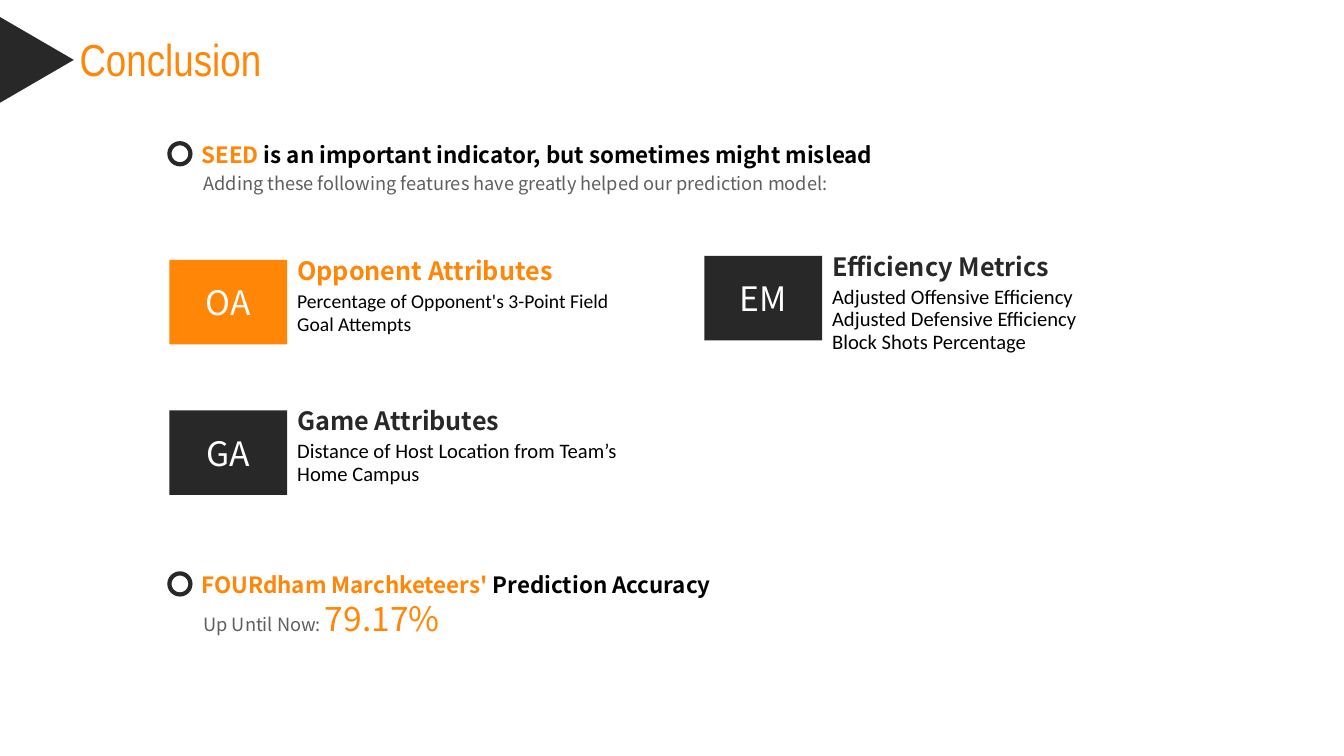
import pptx
import pptx.util
import pptx.dml.color
import pptx.enum.shapes
import pptx.enum.text

Cm = pptx.util.Cm
Pt = pptx.util.Pt
RGB = pptx.dml.color.RGBColor
Shape = pptx.enum.shapes.MSO_SHAPE
Align = pptx.enum.text.PP_ALIGN
Anchor = pptx.enum.text.MSO_ANCHOR
Fit = pptx.enum.text.MSO_AUTO_SIZE

ORANGE = RGB(0xFF, 0x86, 0x07)
DARK = RGB(0x28, 0x28, 0x28)
GRAY = RGB(0x5F, 0x5F, 0x5F)
BLACK = RGB(0, 0, 0)
WHITE = RGB(0xFF, 0xFF, 0xFF)
SANS = "Noto Sans CJK SC"

# Content
TITLE = "Conclusion"
# left, top, code, heading, notes, tile colour, note size, note width
CARDS = [
    (4.27, 10.34, "GA", "Game Attributes",
     ["Distance of Host Location from Team’s Home Campus"], DARK, 14.7, 9.47),
    (4.27, 6.55, "OA", "Opponent Attributes",
     ["Percentage of Opponent's 3-Point Field Goal Attempts"], ORANGE, 14, 8.81),
    (17.75, 6.45, "EM", "Efficiency Metrics",
     ["Adjusted Offensive Efficiency", "Adjusted Defensive Efficiency",
      "Block Shots Percentage"], DARK, 14.7, 11),
]
# ring top, lead, rest, detail, figure, detail offset
POINTS = [
    (3.61, "SEED", " is an important indicator, but sometimes might mislead",
     "Adding these following features have greatly helped our prediction model:",
     "", 0.63),
    (14.45, "FOURdham Marchketeers'", " Prediction Accuracy",
     "Up Until Now: ", "79.17%", 0.97),
]

# Formats
NAME = {"name": SANS, "size": Pt(18), "bold": True}
CODE = {"name": SANS, "size": Pt(24)}
LEAD = {"name": SANS, "size": Pt(16), "bold": True}
INFO = {"name": SANS, "size": Pt(13)}
NOTE = {"name": "Calibri"}
HEAD = {"name": "Arial Narrow", "size": Pt(32)}

TILE_W, TILE_H = 2.97, 2.13
RING_X, RING = 4.27, 0.53


def write(par, text, form, color):
    run = par.add_run()
    run.text = text
    for key, val in form.items():
        setattr(run.font, key, val)
    run.font.color.rgb = color


def draw(home, kind, x, y, w, h, fill):
    item = home.add_shape(kind, Cm(x), Cm(y), Cm(w), Cm(h))
    item.shadow.inherit = False
    item.fill.solid()
    item.fill.fore_color.rgb = fill
    item.line.fill.background()
    return item


def label(home, x, y, w, h, rows, **look):
    """Each row is a list of (text, format, colour) runs."""
    frame = home.add_textbox(Cm(x), Cm(y), Cm(w), Cm(h)).text_frame
    frame.word_wrap = True
    frame.auto_size = Fit.SHAPE_TO_FIT_TEXT
    for n, row in enumerate(rows):
        par = frame.add_paragraph() if n else frame.paragraphs[0]
        for key, val in look.items():
            setattr(par, key, val)
        for text, form, color in row:
            write(par, text, form, color)


def add_card(slide, x, y, code, name, notes, color, size, width):
    home = slide.shapes.add_group_shape().shapes
    left = x + TILE_W
    label(home, left, y - 0.25, 11.94, 1.09, [[(name, NAME, color)]])
    form = {**NOTE, "size": Pt(size)}
    label(home, left, y + 0.64, width, 0.32 + 0.56 * max(2, len(notes)),
          [[(note, form, BLACK)] for note in notes], line_spacing=Pt(16))
    tile = draw(home, Shape.RECTANGLE, x, y, TILE_W, TILE_H, color)
    tile.text_frame.vertical_anchor = Anchor.MIDDLE
    par = tile.text_frame.paragraphs[0]
    par.alignment = Align.CENTER
    write(par, code, CODE, WHITE)


def add_point(slide, y, lead, rest, info, figure, gap):
    home = slide.shapes.add_group_shape().shapes
    ring = draw(home, Shape.OVAL, RING_X, y, RING, RING, WHITE)
    ring.line.color.rgb = DARK
    ring.line.width = Pt(3)
    label(home, RING_X + 0.56, y - 0.18, 18.47, 0.99,
          [[(lead, LEAD, ORANGE), (rest, LEAD, BLACK)]])
    row = [(info, INFO, GRAY)]
    if figure:
        row.append((figure, CODE, ORANGE))
    label(home, RING_X + 0.61, y + gap, 17.75, 1.27 if figure else 0.86,
          [row], alignment=Align.JUSTIFY, line_spacing=Pt(15))


def main():
    deck = pptx.Presentation()
    deck.slide_width, deck.slide_height = Cm(33.87), Cm(19.05)
    slide = deck.slides.add_slide(deck.slide_layouts[5])

    # Title and marker
    title = slide.shapes.title
    title.left, title.top = Cm(1.75), Cm(0.66)
    title.width, title.height = Cm(5.77), Cm(1.63)
    frame = title.text_frame
    frame.word_wrap = False
    frame.auto_size = Fit.SHAPE_TO_FIT_TEXT
    frame.vertical_anchor = Anchor.TOP
    frame.paragraphs[0].alignment = Align.LEFT
    write(frame.paragraphs[0], TITLE, HEAD, ORANGE)
    mark = draw(slide.shapes, Shape.ISOSCELES_TRIANGLE,
                -0.15, 0.58, 2.16, 1.86, DARK)
    mark.rotation = 90

    # Feature cards and key points
    for card in CARDS:
        add_card(slide, *card)
    for point in POINTS:
        add_point(slide, *point)

    deck.save("out.pptx")


if __name__ == "__main__":
    main()
